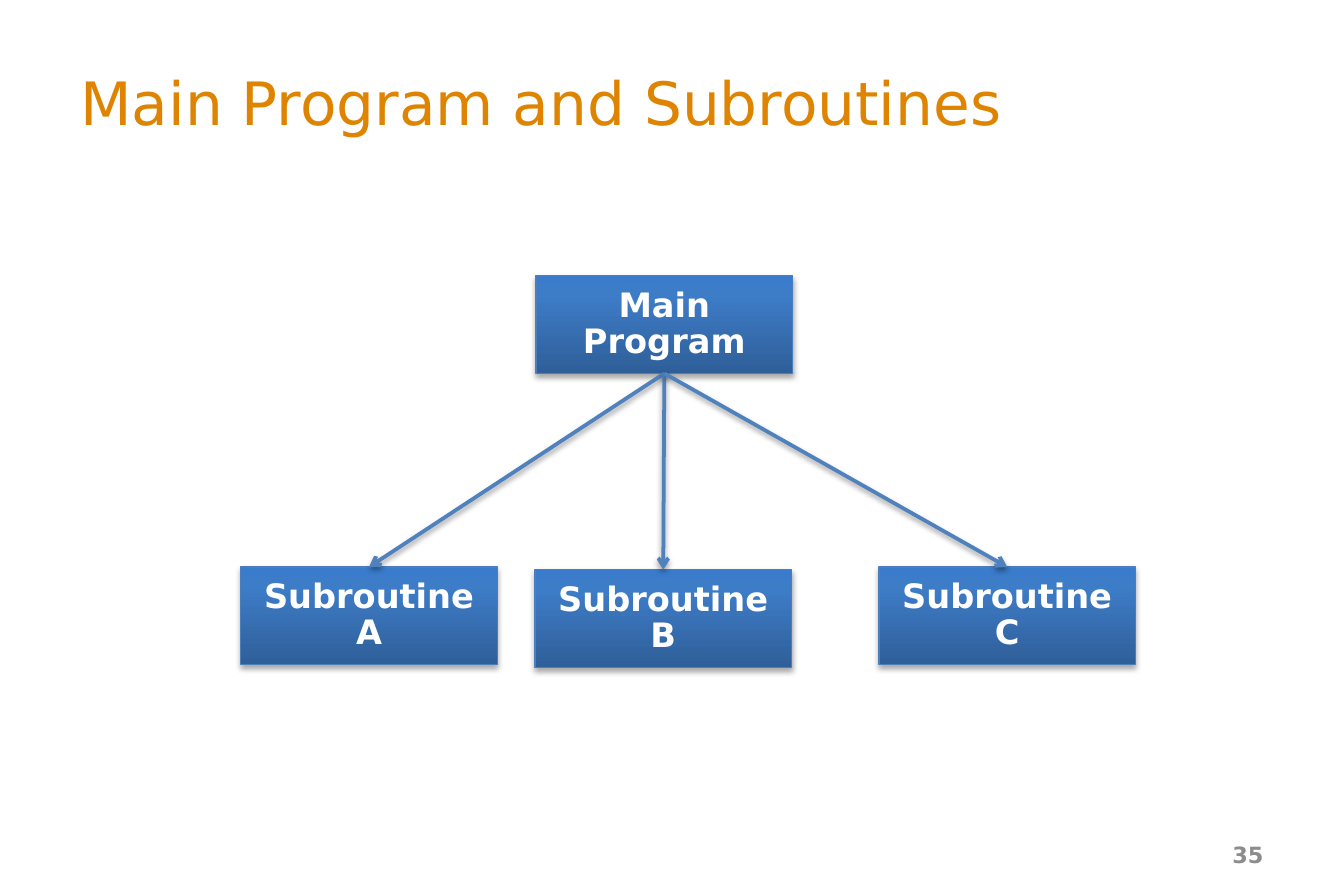
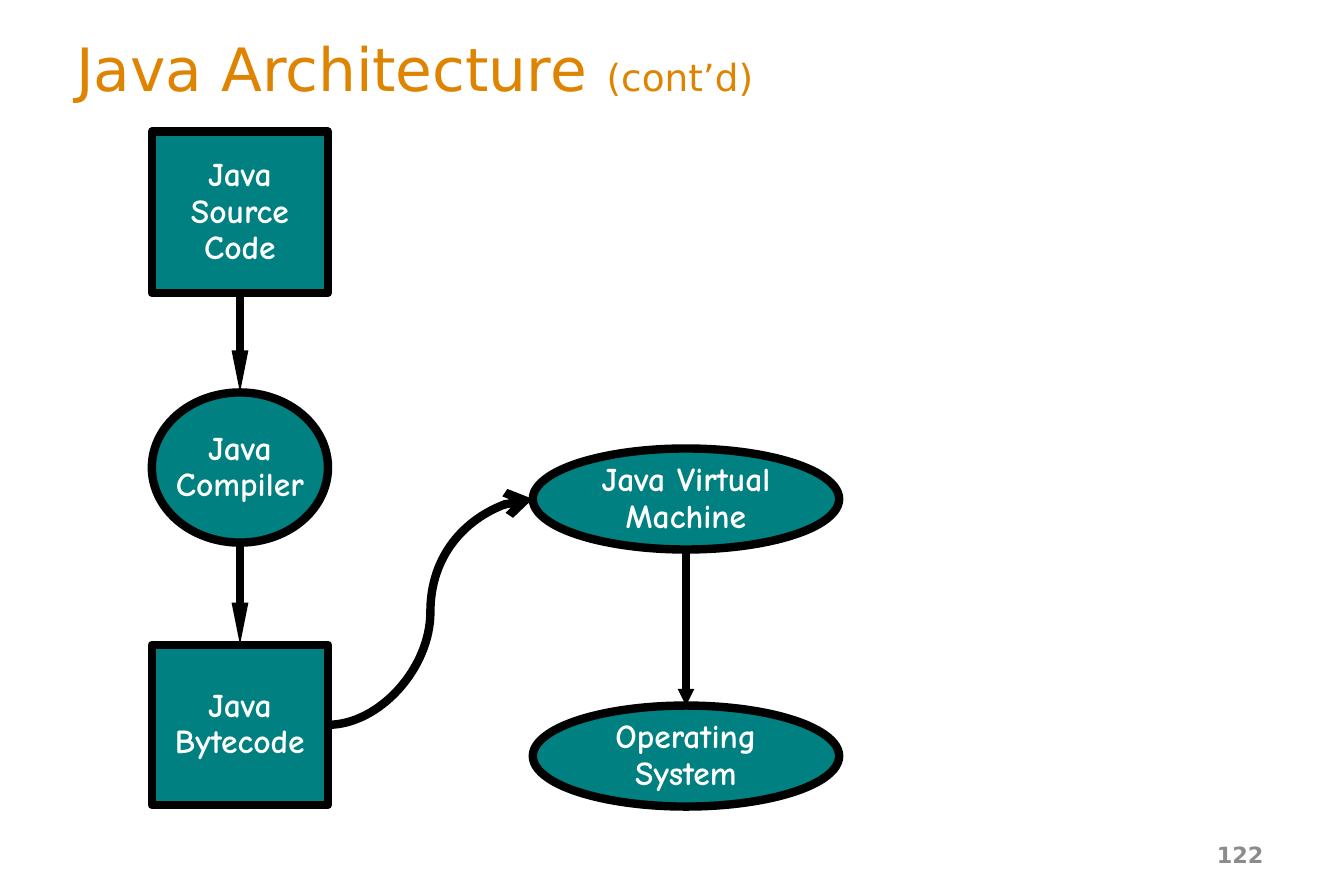
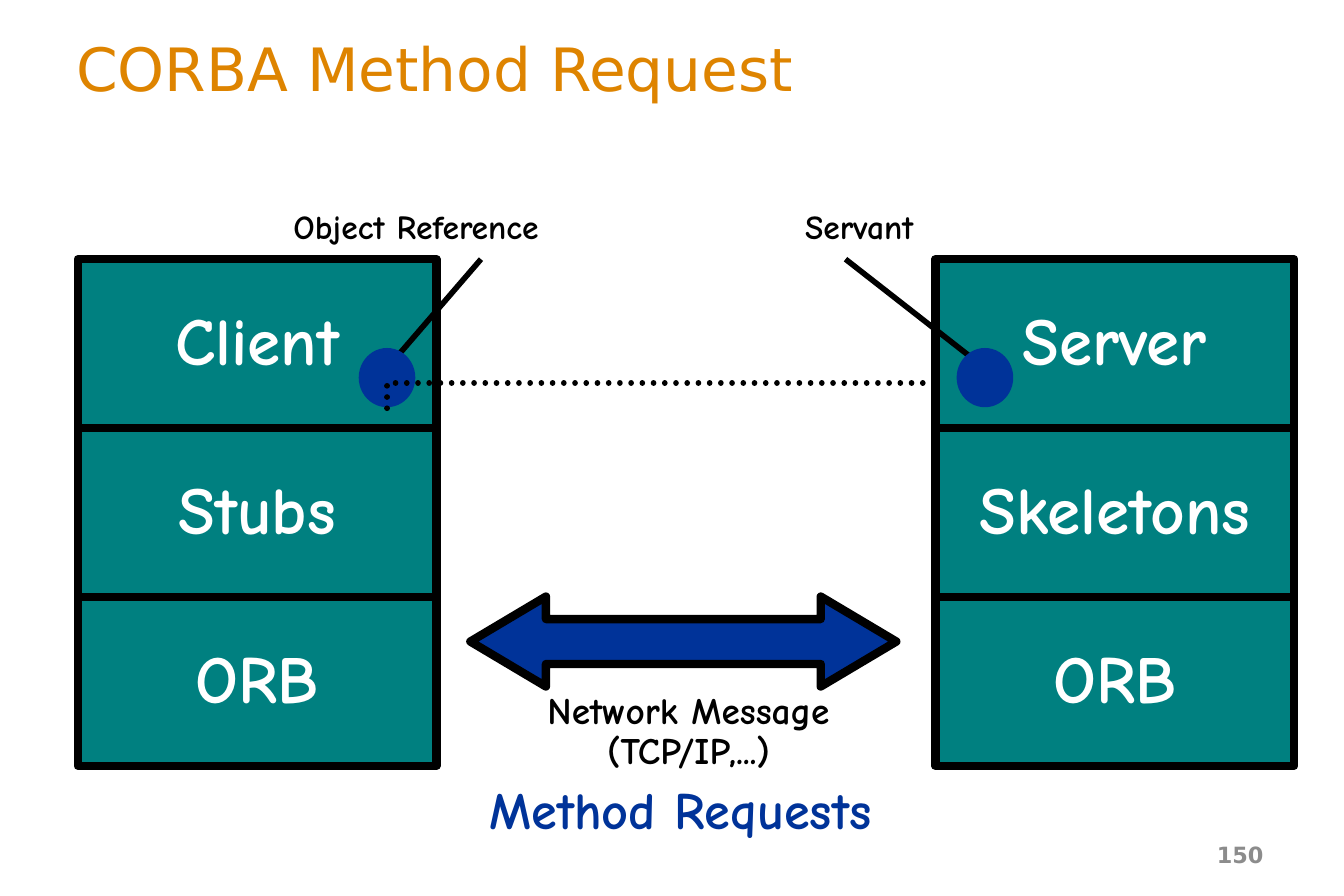
import dataclasses
import typing

import lxml.etree
import pptx
import pptx.dml.color
import pptx.enum.dml
import pptx.enum.shapes
import pptx.enum.text
import pptx.oxml
import pptx.oxml.ns
import pptx.util

KIND = pptx.enum.shapes.MSO_SHAPE
JOIN = pptx.enum.shapes.MSO_CONNECTOR
ALIGN = pptx.enum.text.PP_ALIGN


@dataclasses.dataclass(frozen=True)
class Theme:
    """Colours, fonts and type sizes of the deck."""

    title: str = "DE8400"
    foot: str = "8C8C8C"
    ink: str = "000000"
    paper: str = "FFFFFF"
    teal: str = "008080"
    navy: str = "003399"
    edge: str = "4B7EBC"
    link: str = "4F81BD"
    fade: tuple = ((0, "2F5F99"), (80, "3D7CC7"), (100, "3A7CCB"))
    sans: str = "DejaVu Sans"
    hand: str = "Comic Neue"
    huge: int = 36
    head: int = 32
    large: int = 28
    mid: int = 20
    body: int = 18
    small: int = 12


class Box(typing.NamedTuple):
    """A place on the slide in centimetres."""

    left: float
    top: float
    wide: float
    high: float

    def inner(self, left, top, wide, high):
        """Return a box given relative to this one."""
        return Box(self.left + left, self.top + top, wide, high)

    def spot(self, across, down):
        """Return the point at these shares of width and height."""
        return self.left + across * self.wide, self.top + down * self.high


THEME = Theme()
LOW, HIGH, WEST, EAST = (0.5, 1), (0.5, 0), (0, 0.5), (1, 0.5)


def tint(name):
    """Return a colour object."""
    return pptx.dml.color.RGBColor.from_string(name)


def cms(*sizes):
    """Turn numbers into centimetre lengths."""
    return [pptx.util.Cm(size) for size in sizes]


def style(font, size, color, face, bold):
    """Format one font."""
    font.size = pptx.util.Pt(size)
    font.color.rgb = tint(color)
    font.name = face
    font.bold = bold


def write(shape, text, size, color, face=THEME.hand, bold=True,
          align=ALIGN.CENTER, wrap=False, space=0.9):
    """Fill a shape with formatted text."""
    frame = shape.text_frame
    frame.text = text
    frame.word_wrap = wrap
    frame.vertical_anchor = pptx.enum.text.MSO_ANCHOR.MIDDLE
    for para in frame.paragraphs:
        para.alignment = align
        para.line_spacing = space
        for run in para.runs:
            style(run.font, size, color, face, bold)


def label(slide, box, text, size, color):
    """Add a free caption that fits its text."""
    item = slide.shapes.add_textbox(*cms(*box))
    write(item, text, size, color)
    item.text_frame.auto_size = pptx.enum.text.MSO_AUTO_SIZE.SHAPE_TO_FIT_TEXT


def shade(item, alpha=0, drop=0):
    """Clear the shadow of an item, or give it a soft one."""
    props = item._element.spPr
    tag = pptx.oxml.ns.qn("a:effectLst")
    list_ = props.find(tag)
    if list_ is None:
        list_ = lxml.etree.SubElement(props, tag)
    if alpha:
        list_.append(pptx.oxml.parse_xml(
            f'<a:outerShdw {pptx.oxml.ns.nsdecls("a")} blurRad="40000" '
            f'dist="{drop}" dir="5400000" rotWithShape="0">'
            f'<a:srgbClr val="{THEME.ink}"><a:alpha val="{alpha * 1000}"/>'
            '</a:srgbClr></a:outerShdw>'))


def stroke(item, color, width):
    """Set the line of an item."""
    item.line.color.rgb = tint(color)
    item.line.width = pptx.util.Pt(width)


def tip(item, kind, wide="med", long="med"):
    """Put an arrowhead at the end of a line."""
    tail = lxml.etree.SubElement(item.line._get_or_add_ln(),
                                 pptx.oxml.ns.qn("a:tailEnd"))
    for key, value in (("type", kind), ("w", wide), ("len", long)):
        tail.set(key, value)


def form(slide, box, kind, color, width=4.5):
    """Add a flat shape with a black outline."""
    item = slide.shapes.add_shape(kind, *cms(*box))
    item.shadow.inherit = False
    item.fill.solid()
    item.fill.fore_color.rgb = tint(color)
    if width:
        stroke(item, THEME.ink, width)
    else:
        item.line.fill.background()
    return item


def line(slide, start, end, color, width, kind=JOIN.STRAIGHT):
    """Add a connector between two points."""
    item = slide.shapes.add_connector(kind, *cms(*start, *end))
    stroke(item, color, width)
    return item


def panel(slide, box, text):
    """Add a blue gradient box with a shadow."""
    item = slide.shapes.add_shape(KIND.RECTANGLE, *cms(*box))
    item.shadow.inherit = False
    item.fill.background()
    stroke(item, THEME.edge, 0.75)
    shade(item, 35, 23000)
    stops = "".join(f'<a:gs pos="{pos * 1000}"><a:srgbClr val="{color}"/></a:gs>'
                    for pos, color in THEME.fade)
    props = item._element.spPr
    props.replace(props.find(pptx.oxml.ns.qn("a:noFill")), pptx.oxml.parse_xml(
        f'<a:gradFill {pptx.oxml.ns.nsdecls("a")}><a:gsLst>{stops}</a:gsLst>'
        '<a:lin ang="16200000" scaled="0"/></a:gradFill>'))
    write(item, text, THEME.body, THEME.paper, THEME.sans, wrap=True)


def tree(slide, box):
    """Draw the main program above its subroutines."""
    wide, high = 4.85, 1.85
    main = box.inner(5.58, 0, wide, high)
    panel(slide, main, "Main\vProgram")
    subs = [box.inner(left, top, wide, high)
            for left, top in ((0, 5.51), (5.56, 5.56), (12.06, 5.51))]
    for sub, mark in zip(subs, "ABC"):
        panel(slide, sub, f"Subroutine {mark}")
    for sub in subs:
        arrow = line(slide, main.spot(*LOW), sub.spot(*HIGH), THEME.link, 2)
        tip(arrow, "arrow")
        shade(arrow, 38, 20000)


def flow(slide, box):
    """Draw the way from source code to the operating system."""
    code = box.inner(0, 0, 3.33, 3.05)
    tool = box.inner(0, 4.93, 3.33, 2.84)
    byte = box.inner(0, 9.7, 3.33, 3.03)
    host = box.inner(7.2, 5.99, 5.79, 1.91)
    base = box.inner(7.2, 10.85, 5.79, 1.91)
    for place, kind, text in (
            (code, KIND.RECTANGLE, "Java\nSource\nCode"),
            (byte, KIND.RECTANGLE, "Java\nBytecode"),
            (tool, KIND.OVAL, "Java\nCompiler"),
            (host, KIND.OVAL, "Java Virtual\nMachine"),
            (base, KIND.OVAL, "Operating\nSystem")):
        write(form(slide, place, kind, THEME.teal), text, THEME.body, THEME.paper)
    for start, end, long in ((code, tool, "lg"), (tool, byte, "lg"),
                             (host, base, "sm")):
        arrow = line(slide, start.spot(*LOW), end.spot(*HIGH), THEME.ink, 4.5)
        tip(arrow, "triangle", "sm", long)
        shade(arrow)
    curve = line(slide, byte.spot(*EAST), host.spot(*WEST), THEME.ink, 4.5,
                 JOIN.CURVE)
    tip(curve, "arrow")
    shade(curve)


def stack(slide, box, names, note, note_x, note_w, lead_x, dot_x):
    """Draw one side: its layers and the dot with its caption."""
    high = box.high / len(names)
    for row, name in enumerate(names):
        cell = form(slide, box.inner(0, row * high, box.wide, high),
                    KIND.RECTANGLE, THEME.teal)
        write(cell, name, THEME.huge, THEME.paper)
    label(slide, box.inner(note_x, -1.06, note_w, 0.97), note,
          THEME.body, THEME.ink)
    dot = box.inner(dot_x, 1.68, 1.07, 1.12)
    shade(line(slide, (box.left + lead_x, box.top), dot.spot(0.5, 0.34),
               THEME.ink, 3))
    form(slide, dot, KIND.OVAL, THEME.navy, 0)


def wire(slide, box):
    """Draw the dotted path up, across and down."""
    first, *rest = [cms(*box.spot(*share))
                    for share in ((0, 1), (0, 0), (1, 0), (1, 1))]
    draft = slide.shapes.build_freeform(*first)
    draft.add_line_segments(rest, close=False)
    item = draft.convert_to_shape()
    item.shadow.inherit = False
    item.fill.background()
    stroke(item, THEME.ink, 3)
    item.line.dash_style = pptx.enum.dml.MSO_LINE.ROUND_DOT
    item.line._get_or_add_ln().set("cap", "rnd")
    tip(item, "triangle")


def request(slide, box):
    """Draw the client, the server and the messages between them."""
    side = 6.78
    stack(slide, box.inner(0, 0, side, box.high), ("Client", "Stubs", "ORB"),
          "Object Reference", 3.36, 6.07, 7.62, 5.31)
    wire(slide, box.inner(5.85, 2.34, 11.3, 0.48))
    stack(slide, box.inner(box.wide - side, 0, side, box.high),
          ("Server", "Skeletons", "ORB"), "Servant", -2.9, 2.92, -1.7, 0.4)
    arrow = form(slide, box.inner(7.42, 6.38, 8.05, 1.7),
                 KIND.LEFT_RIGHT_ARROW, THEME.navy)
    arrow.adjustments[0] = 0.5
    arrow.adjustments[1] = 0.84
    label(slide, box.inner(8.23, 8.05, 6.63, 1.8),
          "Network Message\n(TCP/IP,...)", THEME.mid, THEME.ink)
    label(slide, box.inner(7.01, 9.78, 8.76, 1.35), "Method Requests",
          THEME.large, THEME.navy)


def frame(deck, box, title, page, extra=""):
    """Add a slide with its title and page number."""
    slide = deck.slides.add_slide(deck.slide_layouts[6])
    head = slide.shapes.add_textbox(*cms(*box))
    write(head, title, THEME.head, THEME.title, THEME.sans, False,
          ALIGN.LEFT, True, 1)
    if extra:
        run = head.text_frame.paragraphs[0].add_run()
        run.text = extra
        style(run.font, THEME.mid, THEME.title, THEME.sans, False)
    foot = slide.shapes.add_textbox(*cms(18.21, 15.7, 5.92, 0.91))
    write(foot, str(page), THEME.small, THEME.foot, THEME.sans, True,
          ALIGN.RIGHT, True, 1)
    return slide


def main():
    """Build the deck and save it."""
    deck = pptx.Presentation()
    deck.slide_width, deck.slide_height = cms(25.4, 16.94)
    tree(frame(deck, Box(1.27, 0.69, 22.86, 2.46),
               "Main Program and Subroutines", 35),
         Box(4.55, 5.21, 16.91, 7.41))
    high = Box(1.19, 0.62, 22.86, 1.32)
    flow(frame(deck, high, "Java Architecture ", 122, "(cont’d)"),
         Box(2.87, 2.49, 12.99, 12.76))
    request(frame(deck, high, "CORBA Method Request", 150),
            Box(1.47, 4.9, 22.99, 9.58))
    deck.save("out.pptx")


if __name__ == "__main__":
    main()
